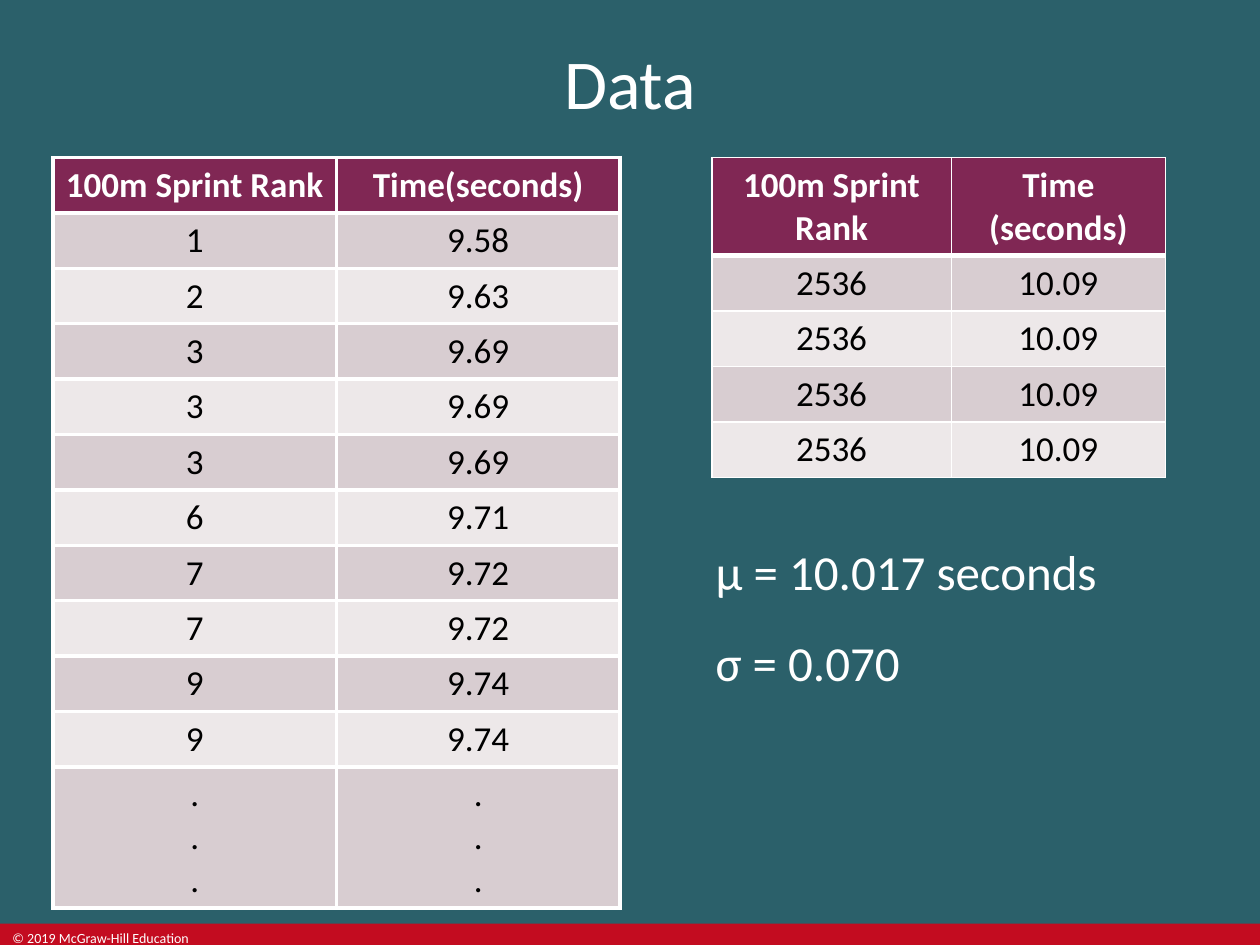
"""Build the sprint data slide with two ranking tables and summary statistics."""
import pptx
import pptx.dml.color
import pptx.enum.shapes
import pptx.enum.text
import pptx.oxml
import pptx.oxml.ns
import pptx.util

COLORS = {
    "background": "2B606A", "footer": "C30C20", "header": "802754",
    "odd": "D8CDD1", "even": "EDE8E9", "light": "FFFFFF", "dark": "000000",
}
ALIGN = pptx.enum.text.PP_ALIGN
ANCHOR = pptx.enum.text.MSO_ANCHOR


def rgb(name):
    return pptx.dml.color.RGBColor.from_string(COLORS[name])


def write(frame, text, size=20, color="light", bold=False, align=ALIGN.LEFT,
          before=0, after=0):
    for index, line in enumerate(text.split("\n")):
        paragraph = frame.paragraphs[0] if index == 0 else frame.add_paragraph()
        properties = paragraph._p.get_or_add_pPr()
        properties.set("marL", "0")
        properties.set("indent", "0")
        properties.append(pptx.oxml.parse_xml(
            f"<a:buNone {pptx.oxml.ns.nsdecls('a')}/>"))
        paragraph.alignment = align
        paragraph.space_before = pptx.util.Pt(before if index else 0)
        paragraph.space_after = pptx.util.Pt(after)
        run = paragraph.add_run()
        run.text = line
        run.font.name = "Calibri"
        run.font.size = pptx.util.Pt(size)
        run.font.bold = bold
        run.font.color.rgb = rgb(color)


class DataSlide:
    """Holds the style and the slide, placed on a grid of 100 columns by 75 rows."""

    line_height = 3.4
    cell_padding = 1

    def __init__(self, deck):
        self.column = deck.slide_width / 100
        self.row = deck.slide_height / 75
        self.slide = deck.slides.add_slide(deck.slide_layouts[1])
        self.slide.background.fill.solid()
        self.slide.background.fill.fore_color.rgb = rgb("background")

    def area(self, left, top, width, height):
        return (round(left * self.column), round(top * self.row),
                round(width * self.column), round(height * self.row))

    def placeholder(self, index, area, text, anchor, **style):
        holder = self.slide.placeholders[index]
        holder.left, holder.top, holder.width, holder.height = self.area(*area)
        frame = holder.text_frame
        frame.auto_size = pptx.enum.text.MSO_AUTO_SIZE.NONE
        frame.vertical_anchor = anchor
        write(frame, text, **style)

    def bar(self, area, color):
        bar = self.slide.shapes.add_shape(
            pptx.enum.shapes.MSO_SHAPE.RECTANGLE, *self.area(*area))
        bar.shadow.inherit = False
        bar.fill.solid()
        bar.fill.fore_color.rgb = rgb(color)
        bar.line.fill.background()

    def label(self, area, text, **style):
        frame = self.slide.shapes.add_textbox(*self.area(*area)).text_frame
        frame.word_wrap = True
        write(frame, text, **style)

    def borders(self, cell, **widths):
        properties = cell._tc.get_or_add_tcPr()
        for side in "LRTB":
            width = pptx.util.Pt(widths[side])
            properties.append(pptx.oxml.parse_xml(
                f'<a:ln{side} {pptx.oxml.ns.nsdecls("a")} w="{width}"><a:solidFill>'
                f'<a:srgbClr val="{COLORS["light"]}"/></a:solidFill></a:ln{side}>'))

    def table(self, left, top, widths, records, border, rule):
        heights = [self.cell_padding + self.line_height
                   * max(text.count("\n") + 1 for text in record)
                   for record in records]
        table = self.slide.shapes.add_table(
            len(records), len(widths),
            *self.area(left, top, sum(widths), sum(heights))).table
        table.horz_banding = False
        for column, width in zip(table.columns, widths):
            column.width = round(width * self.column)
        for number, (record, height) in enumerate(zip(records, heights)):
            table.rows[number].height = round(height * self.row)
            head = number == 0
            fill = "header" if head else "odd" if number % 2 else "even"
            for place, text in enumerate(record):
                cell = table.cell(number, place)
                self.borders(cell, L=border, R=border,
                             T=rule if number == 1 else border,
                             B=rule if head else border)
                cell.fill.solid()
                cell.fill.fore_color.rgb = rgb(fill)
                write(cell.text_frame, text, bold=head, align=ALIGN.CENTER,
                      color="light" if head else "dark")


def main():
    deck = pptx.Presentation()
    deck.slide_width = pptx.util.Inches(10)
    deck.slide_height = pptx.util.Inches(7.5)
    page = DataSlide(deck)

    page.bar((0, 73.3, 100, 1.7), "footer")
    page.label((0, 73.3, 17, 1.7), "© 2019 McGraw-Hill Education", size=8)
    page.placeholder(0, (0, 0, 100, 13), "Data", ANCHOR.MIDDLE,
                     size=40, align=ALIGN.CENTER)

    fastest = [("1", "9.58"), ("2", "9.63"), *[("3", "9.69")] * 3, ("6", "9.71"),
               *[("7", "9.72")] * 2, *[("9", "9.74")] * 2]
    page.table(4.2, 12.5, (22.5, 22.5),
               [("100m Sprint Rank", "Time(seconds)"), *fastest,
                (".\n.\n.", ".\n.\n.")], border=2.25, rule=2.25)
    page.table(56.5, 12.5, (19, 17),
               [("100m Sprint Rank", "Time\n(seconds)"), *[("2536", "10.09")] * 4],
               border=1, rule=3)
    page.placeholder(1, (55.8, 42.5, 35, 13), "μ = 10.017 seconds\nσ = 0.070",
                     ANCHOR.TOP, size=28, before=12, after=6)
    deck.save("out.pptx")


if __name__ == "__main__":
    main()
